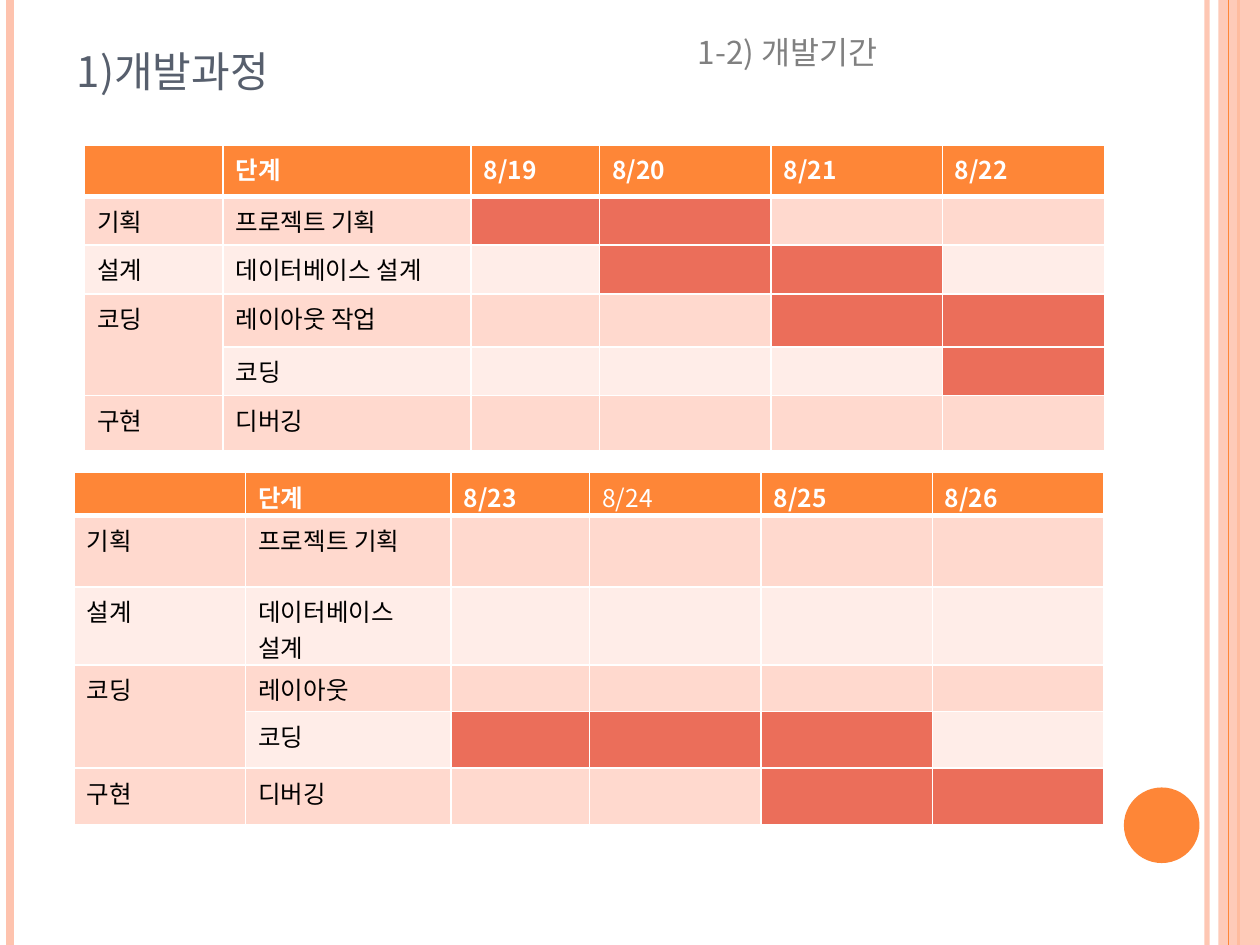
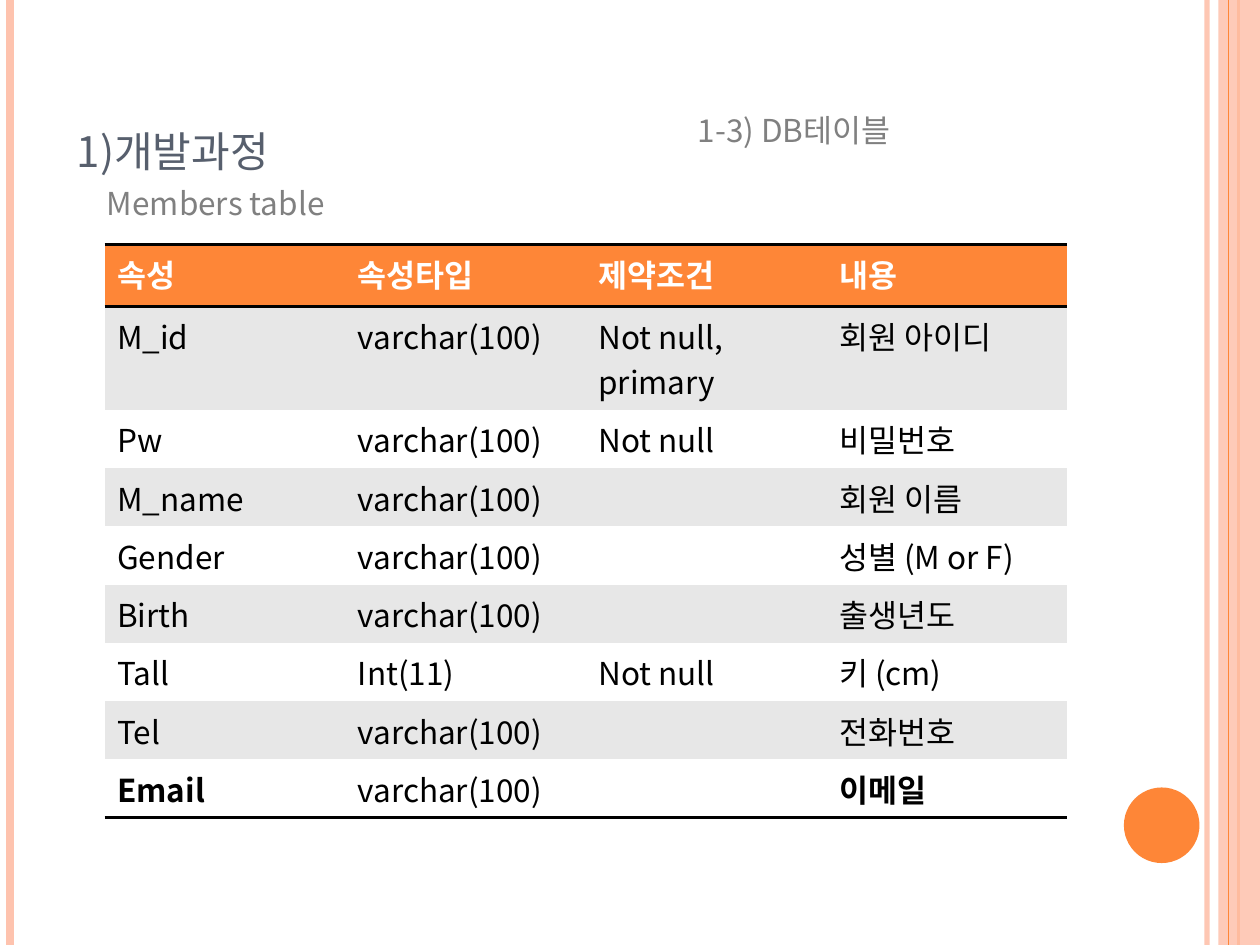
"""Builds two slides on a project's schedule and its member table."""
from lxml import etree
from pptx import Presentation
from pptx.dml.color import RGBColor
from pptx.enum.shapes import MSO_CONNECTOR, MSO_SHAPE
from pptx.enum.text import MSO_ANCHOR, MSO_AUTO_SIZE, PP_ALIGN
from pptx.oxml.ns import qn
from pptx.util import Pt

SCALE = 9144
WIDE, HIGH = 1000, 750
LINE = MSO_CONNECTOR.STRAIGHT
RECT, OVAL = MSO_SHAPE.RECTANGLE, MSO_SHAPE.OVAL
BOTTOM, LEFT = MSO_ANCHOR.BOTTOM, PP_ALIGN.LEFT
FIXED, GROW = MSO_AUTO_SIZE.NONE, MSO_AUTO_SIZE.SHAPE_TO_FIT_TEXT
TITLE_ONLY = 5
FONT = "Noto Sans CJK KR"
COLORS = {
    "accent": "FE8637", "peach": "FEC3AE", "title": "575F6D", "note": "808080",
    "odd": "FFD9CE", "even": "FFEDE8", "busy": "EB6E5A", "gray": "E7E7E7",
    "white": "FFFFFF", "black": "000000",
}
RAILS = [(958, 3, "peach", 93), (8, 4.5, "peach", 100), (983, 1.5, "accent", 100)]

PLANS = [
    {
        "box": (67, 115), "cols": [110, 197, 102, 136, 136, 129],
        "rows": [41, 38, 39, 42, 37, 44], "foot": 5,
        "days": ["8/19", "8/20", "8/21", "8/22"], "light": [],
        "tasks": [("기획", "프로젝트 기획", "xx.."), ("설계", "데이터베이스 설계", ".xx."),
                  ("코딩", "레이아웃 작업", "..xx"), ("", "코딩", "...x"),
                  ("구현", "디버깅", "....")],
    },
    {
        "box": (59, 375), "cols": [136, 163, 110, 136, 136, 136],
        "rows": [34, 57, 57, 37, 45, 45], "foot": 0,
        "days": ["8/23", "8/24", "8/25", "8/26"], "light": ["8/24"],
        "tasks": [("기획", "프로젝트 기획", "...."), ("설계", "데이터베이스 설계", "...."),
                  ("코딩", "레이아웃", "...."), ("", "코딩", "xxx."),
                  ("구현", "디버깅", "..xx")],
    },
]
TEXT = "varchar(100)"
FIELDS = [
    ("속성", "속성타입", "제약조건", "내용"),
    ("M_id", TEXT, "Not null, primary", "회원 아이디"),
    ("Pw", TEXT, "Not null", "비밀번호"),
    ("M_name", TEXT, "", "회원 이름"),
    ("Gender", TEXT, "", "성별 (M or F)"),
    ("Birth", TEXT, "", "출생년도"),
    ("Tall", "Int(11)", "Not null", "키 (cm)"),
    ("Tel", TEXT, "", "전화번호"),
    ("Email", TEXT, "", "이메일"),
]


def px(*sizes):
    return [size * SCALE for size in sizes]


def tint(fill, color, alpha=100):
    fill.solid()
    fill.fore_color.rgb = RGBColor.from_string(COLORS[color])
    if alpha < 100:
        node = fill._xPr.find(qn("a:solidFill"))[0]
        etree.SubElement(node, qn("a:alpha"), val=str(alpha * 1000))


class Deck:
    def __init__(self):
        self.show = Presentation()
        self.show.slide_width, self.show.slide_height = px(WIDE, HIGH)
        self.slide = None

    def page(self, title, top):
        self.slide = self.show.slides.add_slide(self.show.slide_layouts[TITLE_ONLY])
        for x, width, color, alpha in RAILS:
            self.rail(x, width, color, alpha)
        self.shape(RECT, (967, 0, 33, HIGH), "peach", 87)
        self.rail(975, 0.75, "accent")
        self.shape(OVAL, (892, 625, 60, 60), "accent")
        head = self.slide.shapes.title
        head.left, head.top, head.width, head.height = px(51, top, 817, 125)
        frame = head.text_frame
        frame.auto_size = FIXED
        frame.vertical_anchor = BOTTOM
        frame.paragraphs[0].alignment = LEFT
        run = self.run(frame.paragraphs[0], title, 30, "title")
        run._r.get_or_add_rPr().set("cap", "small")

    def run(self, para, text, size, color, bold=False):
        run = para.add_run()
        run.text = text
        font = run.font
        font.size, font.name, font.bold = Pt(size), FONT, bold
        tint(font.fill, color)
        etree.SubElement(run._r.get_or_add_rPr(), qn("a:ea"), typeface=FONT)
        return run

    def rail(self, x, width, color, alpha=100):
        line = self.slide.shapes.add_connector(LINE, *px(x, 0, x, HIGH))
        line.line.width = Pt(width)
        tint(line.line.fill, color, alpha)
        etree.SubElement(line._element.spPr, qn("a:effectLst"))

    def shape(self, kind, box, color, alpha=100):
        shape = self.slide.shapes.add_shape(kind, *px(*box))
        shape.shadow.inherit = False
        tint(shape.fill, color, alpha)
        shape.line.fill.background()

    def note(self, box, text):
        frame = self.slide.shapes.add_textbox(*px(*box)).text_frame
        frame.word_wrap = False
        frame.auto_size = GROW
        self.run(frame.paragraphs[0], text, 18, "note")

    def table(self, spot, cols, rows):
        box = px(*spot, sum(cols), sum(rows))
        table = self.slide.shapes.add_table(len(rows), len(cols), *box).table
        table.first_row = table.horz_banding = False
        for part, size in zip(table.columns, cols):
            part.width = size * SCALE
        for part, size in zip(table.rows, rows):
            part.height = size * SCALE
        return table

    def cell(self, cell, text, size, color, fill, edges, bold=False):
        props = cell._tc.get_or_add_tcPr()
        for side in "LRTB":
            name, width = edges.get(side, (None, 0))
            edge = etree.SubElement(props, qn("a:ln" + side), w=str(Pt(width)))
            if name:
                paint = etree.SubElement(edge, qn("a:solidFill"))
                etree.SubElement(paint, qn("a:srgbClr"), val=COLORS[name])
            else:
                etree.SubElement(edge, qn("a:noFill"))
        tint(cell.fill, fill)
        para = cell.text_frame.paragraphs[0]
        if text:
            self.run(para, text, size, color, bold)
        else:
            etree.SubElement(para._p, qn("a:endParaRPr"), sz=str(size * 100))

    def plan(self, box, cols, rows, foot, days, light, tasks):
        table = self.table(box, cols, rows)
        lines = [("", "단계", *days)]
        lines += [(phase, step, *marks) for phase, step, marks in tasks]
        for i, line in enumerate(lines):
            edges = dict.fromkeys("LRTB", ("white", 1))
            if i < 2:
                edges["T" if i else "B"] = ("white", 3)
            for j, text in enumerate(line):
                cell = table.cell(i, j)
                cell.margin_bottom = foot * SCALE
                if i == 0:
                    self.cell(cell, text, 14, "white", "accent", edges, text not in light)
                    continue
                band = "odd" if i % 2 or (j == 0 and not text) else "even"
                fill = "busy" if text == "x" else band
                self.cell(cell, text if j < 2 else "", 14, "black", fill, edges)
            if not line[0] and i:
                table.cell(i - 1, 0).merge(table.cell(i, 0))

    def fields(self, lines):
        last = len(lines) - 1
        table = self.table((83, 194), [191] * 4, [49, 70] + [40] * (last - 1))
        rule = ("black", 2)
        for i, line in enumerate(lines):
            edges = {0: {"T": rule, "B": rule}, 1: {"T": rule}, last: {"B": rule}}.get(i, {})
            fill = "accent" if i == 0 else "gray" if i % 2 else "white"
            for j, text in enumerate(line):
                bold = i == 0 or (i == last and j in (0, 3))
                self.cell(table.cell(i, j), text, 18, "black" if i else "white", fill, edges, bold)


def main():
    deck = Deck()
    deck.page("1)개발과정", -42)
    for plan in PLANS:
        deck.plan(**plan)
    deck.note((544, 21, 181, 40), "1-2) 개발기간")

    deck.page("1)개발과정", 21)
    deck.fields(FIELDS)
    deck.note((544, 83, 187, 40), "1-3) DB테이블")
    deck.note((75, 141, 210, 40), "Members table")
    deck.show.save("out.pptx")


if __name__ == "__main__":
    main()
